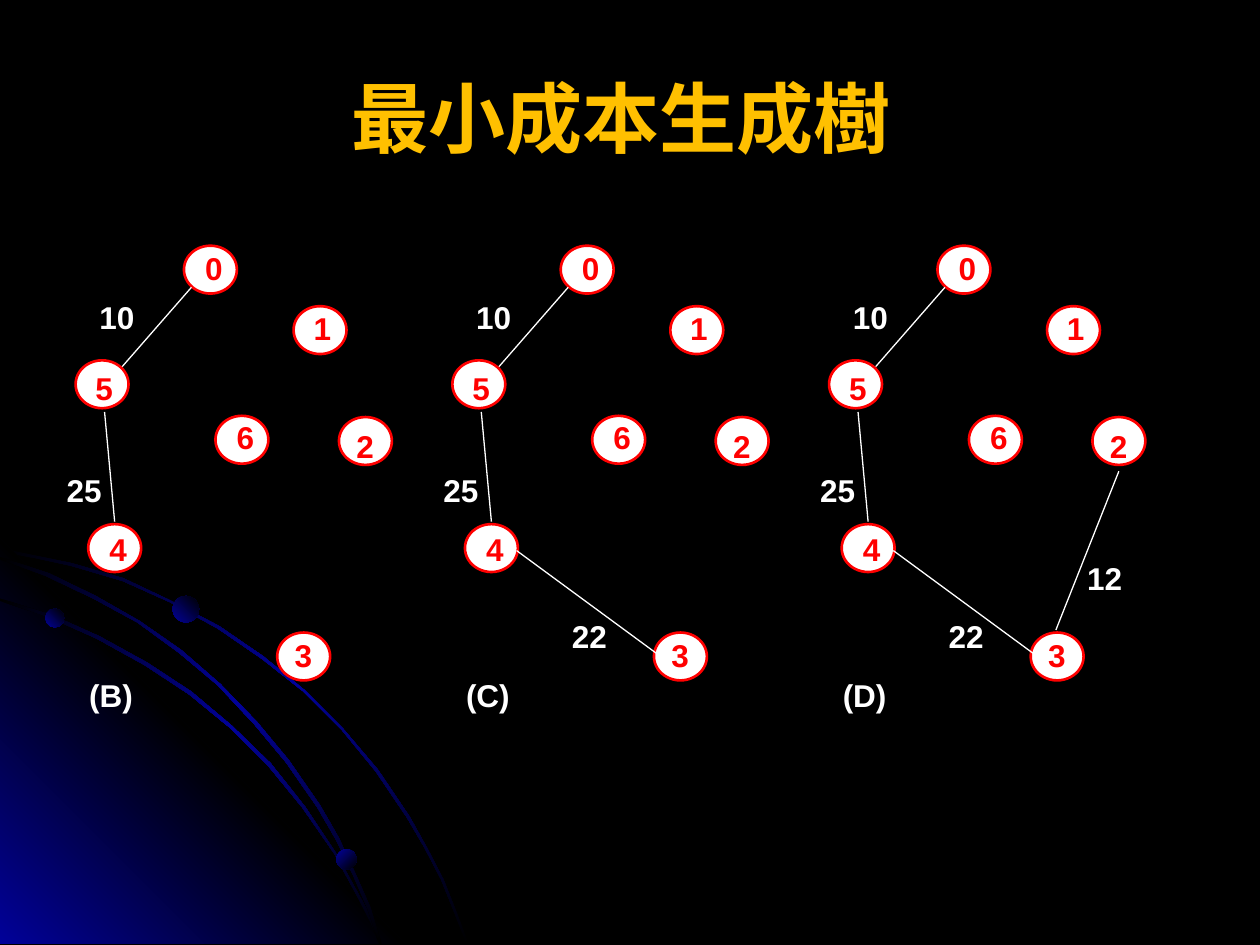
from lxml import etree
from pptx import Presentation
from pptx.dml.color import RGBColor
from pptx.enum.shapes import MSO_CONNECTOR, MSO_SHAPE
from pptx.enum.text import MSO_ANCHOR, MSO_AUTO_SIZE, PP_ALIGN
from pptx.oxml import parse_xml
from pptx.oxml.ns import nsdecls, qn
from pptx.util import Inches, Pt

OVAL = MSO_SHAPE.OVAL
STRAIGHT = MSO_CONNECTOR.STRAIGHT
MIDDLE = MSO_ANCHOR.MIDDLE
FIT_SHAPE = MSO_AUTO_SIZE.SHAPE_TO_FIT_TEXT
NO_FIT = MSO_AUTO_SIZE.NONE
CENTER = PP_ALIGN.CENTER
LEFT = PP_ALIGN.LEFT

BLACK, WHITE, RED, AMBER, BLUE = "000000", "FFFFFF", "FF0000", "FFC000", "010199"


def color(hex_value):
    return RGBColor.from_string(hex_value)


def write(frame, text, *, size=18, ink=WHITE, font="Arial", bold=True, align=LEFT):
    paragraph = frame.paragraphs[0]
    paragraph.alignment = align
    run = paragraph.add_run()
    run.text = text
    run.font.size = Pt(size)
    run.font.name = font
    run.font.bold = bold
    run.font.color.rgb = color(ink)


class Slide:
    node_size = (0.42, 0.38)
    label_height = 0.4

    def __init__(self, deck):
        self.slide = deck.slides.add_slide(deck.slide_layouts[5])
        self.canvas = self.slide.shapes
        backdrop = self.slide.background.fill
        backdrop.solid()
        backdrop.fore_color.rgb = color(BLACK)

    def start_group(self):
        self.canvas = self.slide.shapes.add_group_shape().shapes

    def title(self, text, left, top, width, height):
        heading = self.slide.shapes.title
        heading.left, heading.top = Inches(left), Inches(top)
        heading.width, heading.height = Inches(width), Inches(height)
        heading.text_frame.vertical_anchor = MIDDLE
        heading.text_frame.auto_size = NO_FIT
        write(heading.text_frame, text, size=44, ink=AMBER, align=CENTER)

    def gradient(self, shape, colors, angle):
        shape.shadow.inherit = False
        shape.line.fill.background()
        shape.fill.background()
        stops = "".join(
            f'<a:gs pos="{100000 * i // (len(colors) - 1)}"><a:srgbClr val="{color(c)}"/></a:gs>'
            for i, c in enumerate(colors))
        fill = parse_xml(
            f'<a:gradFill {nsdecls("a")} rotWithShape="1"><a:gsLst>{stops}</a:gsLst>'
            f'<a:lin ang="{angle * 60000}" scaled="1"/></a:gradFill>')
        properties = shape.element.spPr
        properties.replace(properties.find(qn("a:noFill")), fill)

    def outline(self, points, colors, angle):
        corners = [(Inches(x), Inches(y)) for x, y in points]
        builder = self.canvas.build_freeform(*corners[0], scale=1.0)
        builder.add_line_segments(corners[1:], close=True)
        self.gradient(builder.convert_to_shape(), colors, angle)

    def oval(self, left, top, width, height):
        shape = self.canvas.add_shape(
            OVAL, Inches(left), Inches(top), Inches(width), Inches(height))
        shape.shadow.inherit = False
        return shape

    def bead(self, left, top, size, angle):
        self.gradient(self.oval(left, top, size, size), (BLUE, BLACK), angle)

    def node(self, left, top):
        circle = self.oval(left, top, *self.node_size)
        circle.fill.solid()
        circle.fill.fore_color.rgb = color(WHITE)
        circle.line.color.rgb = color(RED)
        circle.line.width = Pt(1.5)

    def label(self, text, left, top, width, ink=WHITE):
        box = self.canvas.add_textbox(
            Inches(left), Inches(top), Inches(width), Inches(self.label_height))
        box.text_frame.word_wrap = False
        box.text_frame.auto_size = FIT_SHAPE
        write(box.text_frame, text, ink=ink)

    def edge(self, x1, y1, x2, y2):
        link = self.canvas.add_connector(
            STRAIGHT, Inches(x1), Inches(y1), Inches(x2), Inches(y2))
        link.line.color.rgb = color(WHITE)
        link.line.width = Pt(0.75)
        etree.SubElement(link.element.spPr, qn("a:effectLst"))


OUTER_ARC = [
    (0.57, 4.47), (0.28, 4.41), (0, 4.35), (0, 4.38), (0.28, 4.43), (0.56, 4.49),
    (0.97, 4.61), (1.35, 4.78), (1.73, 4.99), (2.08, 5.23), (2.41, 5.49), (2.71, 5.79),
    (2.98, 6.12), (3.23, 6.49), (3.37, 6.73), (3.5, 6.98), (3.6, 7.23), (3.7, 7.49),
    (3.72, 7.49), (3.62, 7.23), (3.52, 6.98), (3.39, 6.73), (3.25, 6.48), (3, 6.11),
    (2.72, 5.78), (2.42, 5.48), (2.09, 5.21), (1.74, 4.97), (1.36, 4.77), (0.98, 4.59)]
CORNER_GLOW = [(3.22, 7.49), (0, 7.49), (0, 4.27)]
INNER_ARC = [
    (2.85, 7.14), (2.94, 7.32), (3.01, 7.49), (3.03, 7.49), (2.96, 7.3), (2.86, 7.12),
    (2.66, 6.76), (2.42, 6.4), (2.15, 6.06), (1.84, 5.76), (1.52, 5.49), (1.17, 5.26),
    (0.79, 5.05), (0.41, 4.88), (0, 4.75), (0, 4.77), (0.39, 4.9), (0.77, 5.07),
    (1.15, 5.28), (1.5, 5.51), (1.83, 5.78), (2.13, 6.08), (2.4, 6.41), (2.65, 6.77)]
MIDDLE_ARC = [
    (0, 4.42), (0, 4.44), (0.36, 4.57), (0.74, 4.75), (1.09, 4.94), (1.42, 5.18),
    (1.73, 5.44), (2.02, 5.75), (2.27, 6.05), (2.52, 6.41), (2.67, 6.67), (2.8, 6.94),
    (2.92, 7.22), (3.01, 7.49), (3.03, 7.49), (2.94, 7.2), (2.82, 6.93), (2.69, 6.65),
    (2.54, 6.39), (2.29, 6.03), (2.04, 5.73), (1.75, 5.43), (1.44, 5.16), (1.11, 4.93),
    (0.76, 4.73), (0.39, 4.55)]
ARC_COLORS = (BLACK, BLUE, BLACK)
BEADS = [(0.36, 4.83, 0.15, 315), (2.67, 6.74, 0.16, 45), (1.37, 4.73, 0.21, 315)]

VERTICES = [
    ("0", (1.46, 1.95), (1.53, 1.93)),
    ("1", (2.33, 2.43), (2.39, 2.4)),
    ("5", (0.6, 2.86), (0.66, 2.88)),
    ("2", (2.69, 3.31), (2.73, 3.34)),
    ("6", (1.71, 3.3), (1.78, 3.27)),
    ("3", (2.2, 5.02), (2.24, 5)),
    ("4", (0.7, 4.16), (0.77, 4.16))]
EDGES = [
    ("10", (0.69, 2.32), (1.52, 2.28), (0.97, 2.91)),
    ("25", (0.43, 3.69), (0.83, 3.27), (0.91, 4.14)),
    ("22", (1.45, 4.85), (1.11, 4.37), (2.24, 5.2)),
    ("12", (2.55, 4.39), (2.9, 3.74), (2.4, 5))]
STEPS = [("(B)", 2), ("(C)", 3), ("(D)", 4)]
STEP_GAP = 2.99

deck = Presentation()
deck.slide_width, deck.slide_height = Inches(10), Inches(7.5)
page = Slide(deck)

page.start_group()
page.outline(OUTER_ARC, ARC_COLORS, 45)
page.outline(CORNER_GLOW, (BLUE, BLACK, BLUE), 315)
page.outline(INNER_ARC, ARC_COLORS, 45)
page.outline(MIDDLE_ARC, ARC_COLORS, 45)
for bead in BEADS:
    page.bead(*bead)

for index, (step, edge_count) in enumerate(STEPS):
    shift = index * STEP_GAP
    page.start_group()
    page.label(step, 0.61 + shift, 5.32, 0.55)
    for digit, (x, y), (text_x, text_y) in VERTICES:
        page.node(x + shift, y)
        page.label(digit, text_x + shift, text_y, 0.34, RED)
    for cost, (x, y), (x1, y1), (x2, y2) in EDGES[:edge_count]:
        page.edge(x1 + shift, y1, x2 + shift, y2)
        page.label(cost, x + shift, y, 0.48)

page.title("最小成本生成樹 ", 0.5, 0.3, 9, 1.25)
deck.save("out.pptx")
